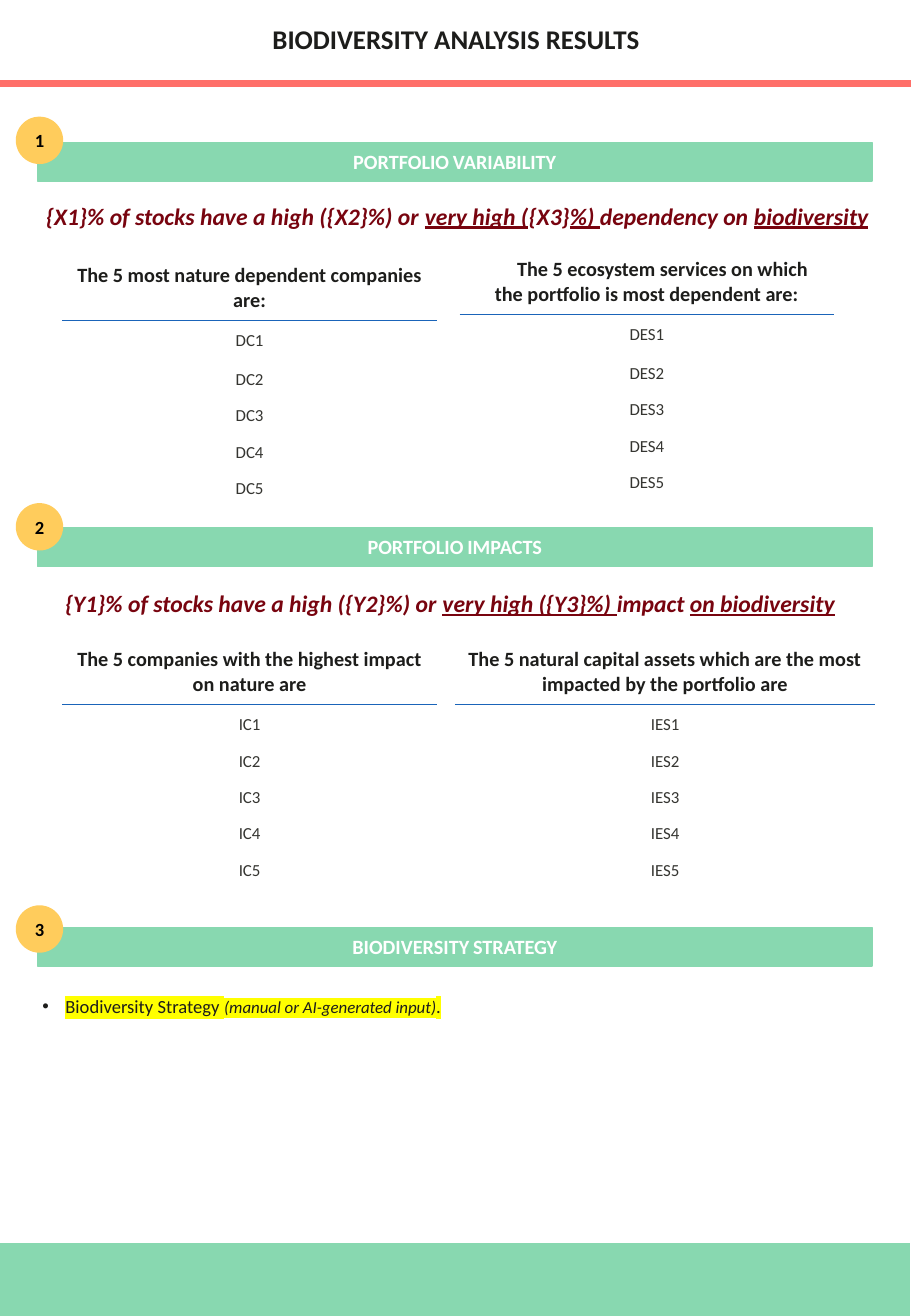
"""Builds a one-page biodiversity report slide on a grid of 750 columns by 1083 rows."""
from dataclasses import dataclass
from typing import NamedTuple

from lxml import etree
from pptx import Presentation
from pptx import util as u
from pptx.dml.color import RGBColor
from pptx.enum import shapes, text
from pptx.oxml.ns import qn

COLS, ROWS = 750, 1083
FONT = "Calibri"
GREEN = RGBColor(0x88, 0xD8, 0xB0)
CORAL = RGBColor(0xFF, 0x6F, 0x69)
AMBER = RGBColor(0xFF, 0xCC, 0x5C)
BLUE = RGBColor(0x1A, 0x64, 0xB9)
MAROON = RGBColor(0x78, 0x04, 0x0F)
INK = RGBColor(0x1D, 0x1D, 0x1B)
GREY = RGBColor(0x35, 0x35, 0x31)
YELLOW = RGBColor(0xFF, 0xFF, 0x00)
WHITE = RGBColor(0xFF, 0xFF, 0xFF)
BLACK = RGBColor(0, 0, 0)
RECT = shapes.MSO_SHAPE.RECTANGLE
CENTER, JUSTIFY = text.PP_ALIGN.CENTER, text.PP_ALIGN.JUSTIFY

prs = Presentation()
prs.slide_width, prs.slide_height = u.Inches(7.5), u.Inches(10.83)
s = prs.slides.add_slide(prs.slide_layouts[6])


class Box(NamedTuple):
    left: int
    top: int
    width: int
    height: int


class Run(NamedTuple):
    text: str
    underline: bool = False
    italic: bool = False
    size: float | None = None


@dataclass
class Section:
    number: int
    title: str
    badge_top: int
    banner_top: int


@dataclass
class Statement:
    box: Box
    runs: list[Run]


@dataclass
class Ranking:
    left: int
    top: int
    width: int
    heading: str
    code: str
    second_row: int = 30
    indent: int = 0


def col(n: float) -> int:
    return round(prs.slide_width * n / COLS)


def row(n: float) -> int:
    return round(prs.slide_height * n / ROWS)


def place(box: Box) -> tuple[int, int, int, int]:
    return col(box.left), row(box.top), col(box.width), row(box.height)


def write(tf, runs: str | list[Run], *, size: float, color: RGBColor, bold: bool = False,
          italic: bool = False, align=CENTER, wrap: bool = True, small_caps: bool = False,
          highlight: RGBColor | None = None):
    tf.word_wrap = wrap
    tf.vertical_anchor = text.MSO_ANCHOR.MIDDLE
    p = tf.paragraphs[0]
    p.alignment = align
    for piece in [Run(runs)] if isinstance(runs, str) else runs:
        r = p.add_run()
        r.text = piece.text
        f = r.font
        f.name, f.size, f.bold = FONT, u.Pt(piece.size or size), bold
        f.italic, f.underline = italic or piece.italic, piece.underline
        f.color.rgb = color
        rPr = r._r.get_or_add_rPr()
        if small_caps:
            rPr.set("cap", "small")
        if highlight is not None:
            mark = etree.Element(qn("a:highlight"))
            etree.SubElement(mark, qn("a:srgbClr"), val=str(highlight))
            rPr.find(qn("a:solidFill")).addnext(mark)
    return p


def add_block(box: Box, fill: RGBColor, kind=RECT, outlined: bool = False):
    sp = s.shapes.add_shape(kind, *place(box))
    sp.shadow.inherit = False
    sp.fill.solid()
    sp.fill.fore_color.rgb = fill
    if outlined:
        sp.line.color.rgb, sp.line.width = fill, u.Pt(0.75)
    else:
        sp.line.fill.background()
    return sp


def add_rule(top: int, color: RGBColor, width: float) -> None:
    line = s.shapes.add_connector(shapes.MSO_CONNECTOR.STRAIGHT, 0, row(top), col(COLS), row(top))
    line.line.color.rgb, line.line.width = color, u.Pt(width)
    etree.SubElement(line._element.spPr, qn("a:effectLst"))


def set_borders(cell, **sides: RGBColor) -> None:
    tcPr = cell._tc.get_or_add_tcPr()
    for i, side in enumerate("LRTB"):
        ln = etree.Element(qn(f"a:ln{side}"), w=str(u.Pt(0.96)))
        fill = etree.SubElement(ln, qn("a:solidFill"))
        etree.SubElement(fill, qn("a:srgbClr"), val=str(sides.get(side, WHITE)))
        tcPr.insert(i, ln)


def add_ranking(k: Ranking) -> None:
    heights = [54, 30, k.second_row, 30, 30, 30]
    box = Box(k.left, k.top, k.width, sum(heights))
    table = s.shapes.add_table(len(heights), 1, *place(box)).table
    table.first_row = table.horz_banding = False
    for i, height in enumerate(heights):
        table.rows[i].height = row(height)
        cell = table.cell(i, 0)
        cell.fill.background()
        if i == 0:
            p = write(cell.text_frame, k.heading, size=12, color=INK, bold=True)
            p._p.get_or_add_pPr().set("indent", str(col(k.indent)))
            cell.vertical_anchor = text.MSO_ANCHOR.MIDDLE
            set_borders(cell, B=BLUE)
        else:
            write(cell.text_frame, f"{k.code}{i}", size=10, color=GREY)
            cell.vertical_anchor = text.MSO_ANCHOR.BOTTOM
            set_borders(cell, T=BLUE if i == 1 else WHITE)


def add_section(k: Section) -> None:
    banner = add_block(Box(31, k.banner_top, 687, 32), GREEN, outlined=True)
    write(banner.text_frame, k.title, size=12, color=WHITE, bold=True, small_caps=True)
    badge = add_block(Box(13, k.badge_top, 39, 39), AMBER, shapes.MSO_SHAPE.OVAL)
    write(badge.text_frame, str(k.number), size=11, color=BLACK, bold=True, wrap=False)


def add_bullet(box: Box, runs: list[Run]) -> None:
    tf = s.shapes.add_textbox(*place(box)).text_frame
    p = write(tf, runs, size=11, color=INK, align=JUSTIFY, highlight=YELLOW)
    pPr = p._p.get_or_add_pPr()
    pPr.set("marL", str(col(19)))
    pPr.set("indent", str(-col(19)))
    tint = etree.SubElement(pPr, qn("a:buClr"))
    etree.SubElement(tint, qn("a:srgbClr"), val=str(INK))
    etree.SubElement(pPr, qn("a:buFont"), typeface="Arial")
    etree.SubElement(pPr, qn("a:buChar"), char="•")


SECTIONS = [
    Section(1, "PORTFOLIO VARIABILITY", 96, 117),
    Section(2, "PORTFOLIO IMPACTS", 414, 434),
    Section(3, "BIODIVERSITY STRATEGY", 745, 763),
]
STATEMENTS = [
    Statement(Box(13, 161, 727, 33), [
        Run("{X1}% of stocks have a high ({X2}%) or "), Run("very high (", True), Run("{X3}"),
        Run("%) ", True), Run("dependency on "), Run("biodiversity", True)]),
    Statement(Box(24, 480, 693, 33), [
        Run("{Y1}% of stocks have a high ({Y2}%) or "), Run("very high ({Y3}%) ", True),
        Run("impact "), Run("on biodiversity", True)]),
]
RANKINGS = [
    Ranking(52, 210, 307, "The 5 most nature dependent companies are:", "DC", 32),
    Ranking(379, 205, 307, "The 5 ecosystem services on which the portfolio is most dependent are:",
            "DES", 32, 26),
    Ranking(52, 526, 307, "The 5 companies with the highest impact on nature are", "IC"),
    Ranking(375, 526, 345,
            "The 5 natural capital assets which are the most impacted by the portfolio are", "IES"),
]


def main() -> None:
    add_rule(69, CORAL, 4)
    add_block(Box(0, 1023, 749, 60), GREEN)
    title = s.shapes.add_textbox(*place(Box(0, 18, 751, 27)))
    write(title.text_frame, "BIODIVERSITY ANALYSIS RESULTS", size=16, color=INK, bold=True)
    for k in STATEMENTS:
        sp = add_block(k.box, WHITE)
        write(sp.text_frame, k.runs, size=14, color=MAROON, bold=True, italic=True)
    for k in RANKINGS:
        add_ranking(k)
    for k in SECTIONS:
        add_section(k)
    add_bullet(Box(25, 814, 693, 28), [
        Run("Biodiversity Strategy "),
        Run("(manual or AI-generated input)", italic=True, size=10), Run(".")])
    prs.save("out.pptx")


if __name__ == "__main__":
    main()
